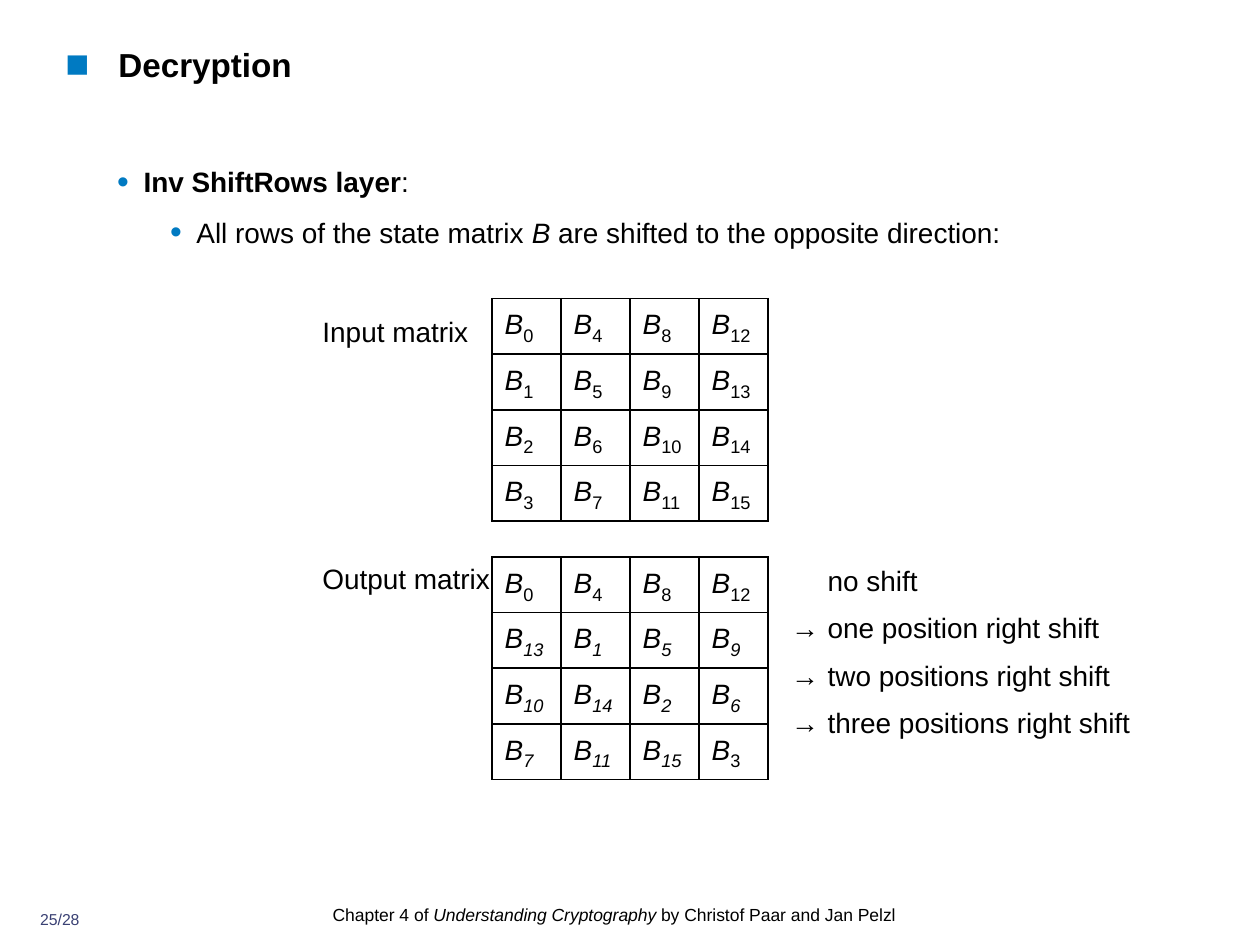
from lxml import etree
from pptx import Presentation
from pptx.dml.color import RGBColor
from pptx.enum.text import MSO_ANCHOR, PP_ALIGN
from pptx.oxml.ns import qn
from pptx.util import Inches, Pt

COLORS = {"text": "000000", "bullet": "007AC2", "page": "394073"}
MIDDLE, CENTER = MSO_ANCHOR.MIDDLE, PP_ALIGN.CENTER
FONT = "Arial"
U = Inches(0.1)  # grid of 100 columns by 75 rows
N = 4            # the state matrix is N by N
LINE, PITCH = 23, 28  # body line height and line-to-line distance, points

prs = Presentation()
prs.slide_width, prs.slide_height = 100 * U, 75 * U
s = prs.slides.add_slide(prs.slide_layouts[6])


def add_box(left, top, width, height, inset=(0, 0)):
    sp = s.shapes.add_textbox(*(int(v * U) for v in (left, top, width, height)))
    tf = sp.text_frame
    tf.word_wrap = True
    tf.margin_left = tf.margin_right = int(inset[0] * U)
    tf.margin_top = tf.margin_bottom = int(inset[1] * U)
    return tf


def write(p, runs, size, color="text", margin=0, indent=0, bullet=None):
    """Fill a paragraph with (text, style) runs; style holds b, i or _ (subscript)."""
    pPr = p._p.get_or_add_pPr()
    pPr.set("marL", str(int(margin * U)))
    pPr.set("indent", str(int(indent * U)))
    if bullet:
        clr = etree.SubElement(pPr, qn("a:buClr"))
        etree.SubElement(clr, qn("a:srgbClr"), val=COLORS["bullet"])
        etree.SubElement(pPr, qn("a:buSzPct"), val="120000")
        etree.SubElement(pPr, qn("a:buFont"), typeface=FONT)
        etree.SubElement(pPr, qn("a:buChar"), char=bullet)
    for text, style in runs:
        r = p.add_run()
        r.text = text
        r.font.name = FONT
        r.font.size = Pt(18 if "_" in style else size)
        r.font.bold, r.font.italic = "b" in style, "i" in style
        r.font.color.rgb = RGBColor.from_string(COLORS[color])
        if "_" in style:
            r._r.get_or_add_rPr().set("baseline", "-25000")


# Title
tf = add_box(5.2, 3.5, 70.7, 5.6)
write(tf.paragraphs[0], [("Decryption", "b")], 19, margin=4.2, indent=-4.2, bullet="■")

# Body: bullets and matrix labels, each a number of lines below the one before
body = [
    (0, 2.1, "•", [("Inv ShiftRows layer", "b"), (":", "")]),
    (1, 6.3, "•", [("All rows of the state matrix ", ""), ("B", "i"),
                   (" are shifted to the opposite direction:", "")]),
    (2, 16.3, None, [("Input matrix", "")]),
    (5, 16.3, None, [("Output matrix", "")]),
]
tf = add_box(9.3, 12.4, 81.3, 35.7)
for lines, margin, bullet, runs in body:
    p = tf.add_paragraph() if lines else tf.paragraphs[0]
    p.line_spacing = 1.25
    if lines:
        p.space_before = Pt(lines * PITCH - LINE)
    write(p, runs, 16, margin=margin, indent=-2.1 if bullet else 0, bullet=bullet)

# Footer
tf = add_box(26.4, 71.4, 47.3, 2.8)
p = tf.paragraphs[0]
p.line_spacing = 1.2
write(p, [("Chapter 4 of ", ""), ("Understanding Cryptography", "i"),
          (" by Christof Paar and Jan Pelzl", "")], 10)

# Input matrix, and output matrix with row k rotated k places to the right
for top, shift in ((23.7, 0), (44.2, 1)):
    frame = s.shapes.add_table(N, N, int(39.05 * U), int(top * U),
                               int(N * 5.48 * U), int(N * 3.67 * U))
    table = frame.table
    table.first_row = table.horz_banding = False
    for row in range(N):
        for col in range(N):
            number = (col - shift * row) % N * N + row
            moved = shift and row and number != 3
            cell = table.cell(row, col)
            cell.vertical_anchor = MIDDLE
            cell.margin_left = cell.margin_right = U
            cell.margin_top = cell.margin_bottom = U // 2
            write(cell.text_frame.paragraphs[0],
                  [("B", "i"), (str(number), "_i" if moved else "_")], 16)
            cell.fill.background()
            tcPr = cell._tc.get_or_add_tcPr()
            for k, side in enumerate("LRTB"):
                ln = etree.Element(qn(f"a:ln{side}"), w=str(Pt(1)))
                fill = etree.SubElement(ln, qn("a:solidFill"))
                etree.SubElement(fill, qn("a:srgbClr"), val=COLORS["text"])
                tcPr.insert(k, ln)

# Shift of each output row
notes = ["no shift", "→\tone position right shift",
         "→\ttwo positions right shift", "→\tthree positions right shift"]
tf = add_box(54.8, 44.2, 36.5, 14.8, inset=(1, 0.5))
for k, note in enumerate(notes):
    p = tf.add_paragraph() if k else tf.paragraphs[0]
    if k:
        p.space_before = Pt(8)
    write(p, [(note, "")], 16, margin=9.9, indent=-2.9 if k else 0)

# Page number
tf = add_box(2, 72.2, 5.5, 2.4)
p = tf.paragraphs[0]
p.alignment = CENTER
write(p, [("25/28", "")], 9, color="page")

prs.save("out.pptx")
